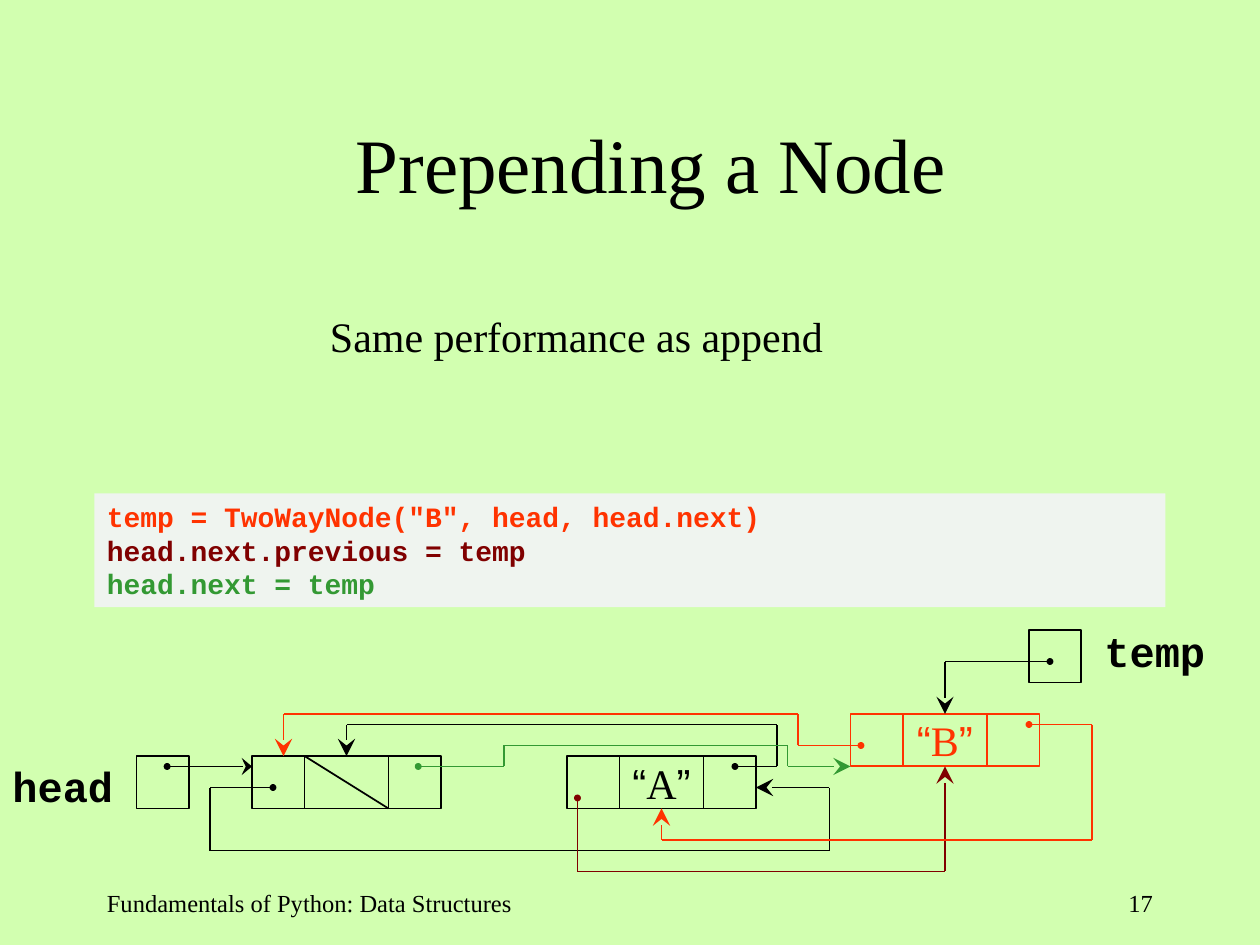
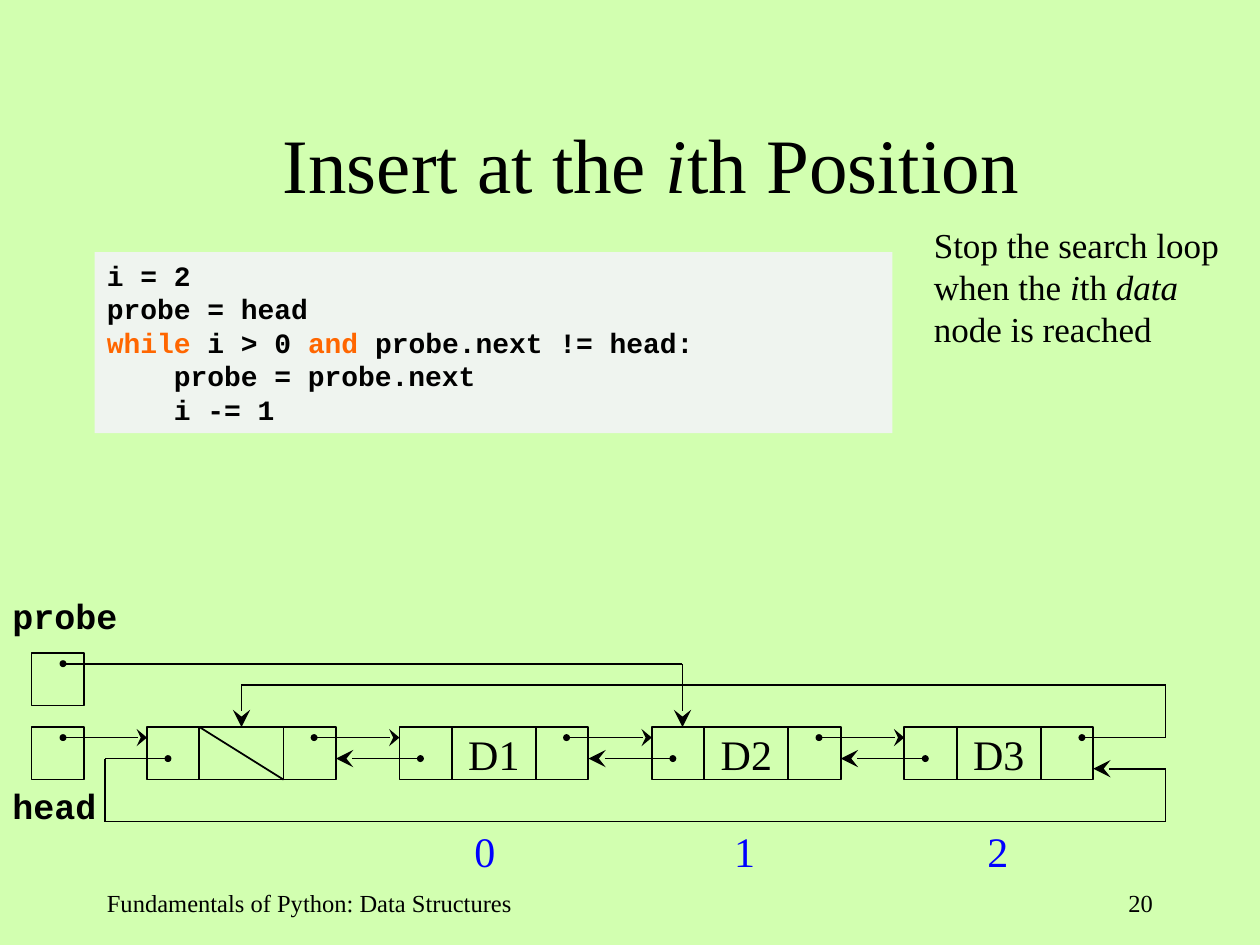
from itertools import pairwise

from lxml.etree import SubElement
from pptx import Presentation
from pptx.dml.color import RGBColor
from pptx.enum.shapes import MSO_CONNECTOR, MSO_SHAPE
from pptx.enum.text import MSO_ANCHOR, MSO_AUTO_SIZE, PP_ALIGN
from pptx.oxml.ns import qn
from pptx.util import Pt

COLORS = {
    "background": "D2FFB0", "panel": "EFF4EF", "black": "000000",
    "red": "FF3300", "maroon": "800000", "green": "339933",
    "keyword": "FF6600", "index": "0000FF",
}
SERIF, SANS, MONO = "Times New Roman", "Arial", "Courier New"
ITALIC = {"italic": True}
KEYWORD = {"color": "keyword"}

# Content: a paragraph is a list of (text, style changes) spans
FOOTER = "Fundamentals of Python: Data Structures"
PREPEND_TITLE = [("Prepending a Node", {})]
PREPEND_NOTE = [("Same performance as append", {})]
PREPEND_CODE = [
    [('temp = TwoWayNode("B", head, head.next)', {"color": "red"})],
    [("head.next.previous = temp", {"color": "maroon"})],
    [("head.next = temp", {"color": "green"})],
]
INSERT_TITLE = [("Insert at the ", {}), ("i", ITALIC), ("th Position", {})]
INSERT_NOTE = [
    ("Stop the search loop when the ", {}), ("i", ITALIC), ("th ", {}),
    ("data", ITALIC), (" node is reached", {}),
]
INSERT_CODE = [
    [("i = 2", {})],
    [("probe = head", {})],
    [("while", KEYWORD), (" i > 0 ", {}), ("and", KEYWORD),
     (" probe.next != head:", {})],
    [("    probe = probe.next", {})],
    [("    i -= 1", {})],
]
INSERT_DATA = ["D1", "D2", "D3"]
INDEXES = "0\t1\t2"
INDEX_TABS = [148.5, 293.2]

# Node geometry: previous link, data, next link
LINK, DATA = 30, 48
NODE = LINK + DATA + LINK


def rgb(name):
    return RGBColor.from_string(COLORS[name])


def write(frame, paragraphs, font=SERIF, size=24, color="black", bold=False,
          align=PP_ALIGN.LEFT, anchor=MSO_ANCHOR.TOP, wrap=True):
    frame.auto_size = MSO_AUTO_SIZE.NONE
    frame.word_wrap = wrap
    frame.vertical_anchor = anchor
    for number, spans in enumerate(paragraphs):
        para = frame.add_paragraph() if number else frame.paragraphs[0]
        para.alignment = align
        for text, changes in spans:
            style = {"font": font, "color": color, "italic": False} | changes
            span = para.add_run()
            span.text = text
            span.font.name = style["font"]
            span.font.size = Pt(size)
            span.font.bold = bold
            span.font.italic = style["italic"]
            span.font.color.rgb = rgb(style["color"])


def add_label(page, area, spans, **style):
    box = page.shapes.add_textbox(*map(Pt, area))
    write(box.text_frame, [spans], **style)
    return box


def add_box(page, area, fill=None, line=None):
    box = page.shapes.add_shape(MSO_SHAPE.RECTANGLE, *map(Pt, area))
    box.shadow.inherit = False
    if fill:
        box.fill.solid()
        box.fill.fore_color.rgb = rgb(fill)
    else:
        box.fill.background()
    if line:
        box.line.color.rgb = rgb(line)
        box.line.width = Pt(1)
    else:
        box.line.fill.background()
    return box


def add_code(page, area, paragraphs):
    panel = add_box(page, area, fill="panel")
    write(panel.text_frame, paragraphs, font=MONO, size=16, bold=True)


def add_line(page, start, end, color="black"):
    line = page.shapes.add_connector(
        MSO_CONNECTOR.STRAIGHT, *map(Pt, (*start, *end)))
    line.line.color.rgb = rgb(color)
    line.line.width = Pt(1)
    SubElement(line._element.spPr, qn("a:effectLst"))
    return line


def add_end(line, tag, kind, width, length):
    outline = line.line._get_or_add_ln()
    SubElement(outline, qn(tag), type=kind, w=width, len=length)


def add_route(page, points, color="black", tip="lg"):
    """Draw a pointer from its dot through the corners to its arrowhead."""
    lines = [add_line(page, *ends, color) for ends in pairwise(points)]
    add_end(lines[0], "a:headEnd", "oval", "sm", "sm")
    add_end(lines[-1], "a:tailEnd", "stealth", "lg", tip)


def add_node(page, left, top, data=None, color="black"):
    """Draw a two-way node; without data it is the header node."""
    add_box(page, (left, top, LINK, LINK), line=color)
    add_box(page, (left + LINK + DATA, top, LINK, LINK), line=color)
    middle = add_box(page, (left + LINK, top, DATA, LINK), line=color)
    if data:
        write(middle.text_frame, [data], color=color, align=PP_ALIGN.CENTER,
              anchor=MSO_ANCHOR.MIDDLE, wrap=False)
    else:
        add_line(page, (left + LINK, top), (left + LINK + DATA, top + LINK))


def add_page(deck, title, number):
    page = deck.slides.add_slide(deck.slide_layouts[5])
    holder = page.shapes.title
    holder.left, holder.top, holder.width, holder.height = map(
        Pt, (54, 48, 636, 90))
    write(holder.text_frame, [title], size=44, align=PP_ALIGN.CENTER,
          anchor=MSO_ANCHOR.MIDDLE)
    add_label(page, (54, 504, 258, 36), [(FOOTER, {})], size=14)
    add_label(page, (516, 504, 150, 36), [(str(number), {})], size=14,
              align=PP_ALIGN.RIGHT)
    return page


def quoted(letter):
    return [("“", {"font": SANS}), (letter, {}), ("”", {"font": SANS})]


def build_prepend(deck):
    page = add_page(deck, PREPEND_TITLE, 17)
    add_label(page, (181.5, 174, 296, 36), PREPEND_NOTE, wrap=False)
    add_code(page, (54, 282, 612, 65), PREPEND_CODE)

    # Variables and nodes
    top, header, node_a, node_b, top_b = 432, 144, 324, 486, 408
    for name, place, area in (("head", (78, top), (0, 431, 72, 36)),
                              ("temp", (588, 360), (624, 354, 72, 36))):
        add_box(page, (*place, LINK, LINK), line="black")
        add_label(page, area, [(name, {})], font=MONO, bold=True, wrap=False)
    add_node(page, header, top)
    add_node(page, node_a, top, quoted("A"))
    add_node(page, node_b, top_b, quoted("B"), "red")

    # Pointers
    middle_b = node_b + NODE / 2
    add_route(page, [(95.5, 438), (header, 438)], tip="med")
    add_route(page, [(600, 378), (middle_b, 378), (middle_b, top_b)])
    add_route(page, [(156, 450), (120, 450), (120, 486), (474, 486),
                     (474, 450), (node_a + NODE, 450)])
    add_route(page, [(420, 438), (444, 438), (444, 414), (198, 414),
                     (198, top)])
    add_route(page, [(330, 456), (330, 498), (middle_b, 498),
                     (middle_b, top_b + LINK)], "maroon")
    add_route(page, [(492, 426), (456, 426), (456, 408), (162, 408),
                     (162, top)], "red")
    add_route(page, [(588, 414), (624, 414), (624, 480), (378, 480),
                     (378, top + LINK)], "red")
    add_route(page, [(239, 438), (288, 438), (288, 426), (450, 426),
                     (450, 438), (node_b, 438)], "green")


def build_insert(deck):
    page = add_page(deck, INSERT_TITLE, 20)
    add_code(page, (54, 144, 456, 103.5), INSERT_CODE)
    add_label(page, (526.5, 124, 193, 79), INSERT_NOTE, size=20)

    # Variables
    top, probe_top = 415.5, 373.25
    for name, box_top, label_top in (("probe", probe_top, 336),
                                     ("head", top, 445)):
        add_box(page, (18, box_top, LINK, LINK), line="black")
        add_label(page, (0, label_top, 78, 31.5), [(name, {})], font=MONO,
                  size=20, bold=True)

    # Nodes, with forward and backward pointers between neighbours
    lefts = [84 + 144.25 * step for step in range(len(INSERT_DATA) + 1)]
    next_y, previous_y = top + 6, top + 18
    add_node(page, lefts[0], top)
    for left, data in zip(lefts[1:], INSERT_DATA):
        add_node(page, left, top, [(data, {})])
    add_route(page, [(36, next_y), (lefts[0], next_y)], tip="med")
    for left, following in pairwise(lefts):
        add_route(page, [(left + 95.5, next_y), (following, next_y)],
                  tip="med")
        add_route(page, [(following + 12, previous_y),
                         (left + NODE, previous_y)])

    # Circular pointers and the probe
    right, bottom, loop_y, back_y = 666, 469.5, 391.25, 439.25
    add_route(page, [(lefts[-1] + 101.5, next_y), (right, next_y),
                     (right, loop_y), (138, loop_y), (138, top)])
    add_route(page, [(lefts[0] + 12, previous_y), (60, previous_y),
                     (60, bottom), (right, bottom), (right, back_y),
                     (lefts[-1] + NODE, back_y)])
    probe_y = probe_top + 6
    add_route(page, [(36, probe_y), (390, probe_y), (390, top)])

    # Node positions, aligned by tab stops
    box = add_label(page, (264, 468, 432, 36), [(INDEXES, {})], color="index")
    properties = box.text_frame.paragraphs[0]._p.get_or_add_pPr()
    tabs = SubElement(properties, qn("a:tabLst"))
    for stop in INDEX_TABS:
        SubElement(tabs, qn("a:tab"), pos=str(int(Pt(stop))), algn="l")


def main():
    deck = Presentation()
    deck.slide_width, deck.slide_height = Pt(720), Pt(540)
    background = deck.slide_master.background.fill
    background.solid()
    background.fore_color.rgb = rgb("background")
    build_prepend(deck)
    build_insert(deck)
    deck.save("out.pptx")


if __name__ == "__main__":
    main()
